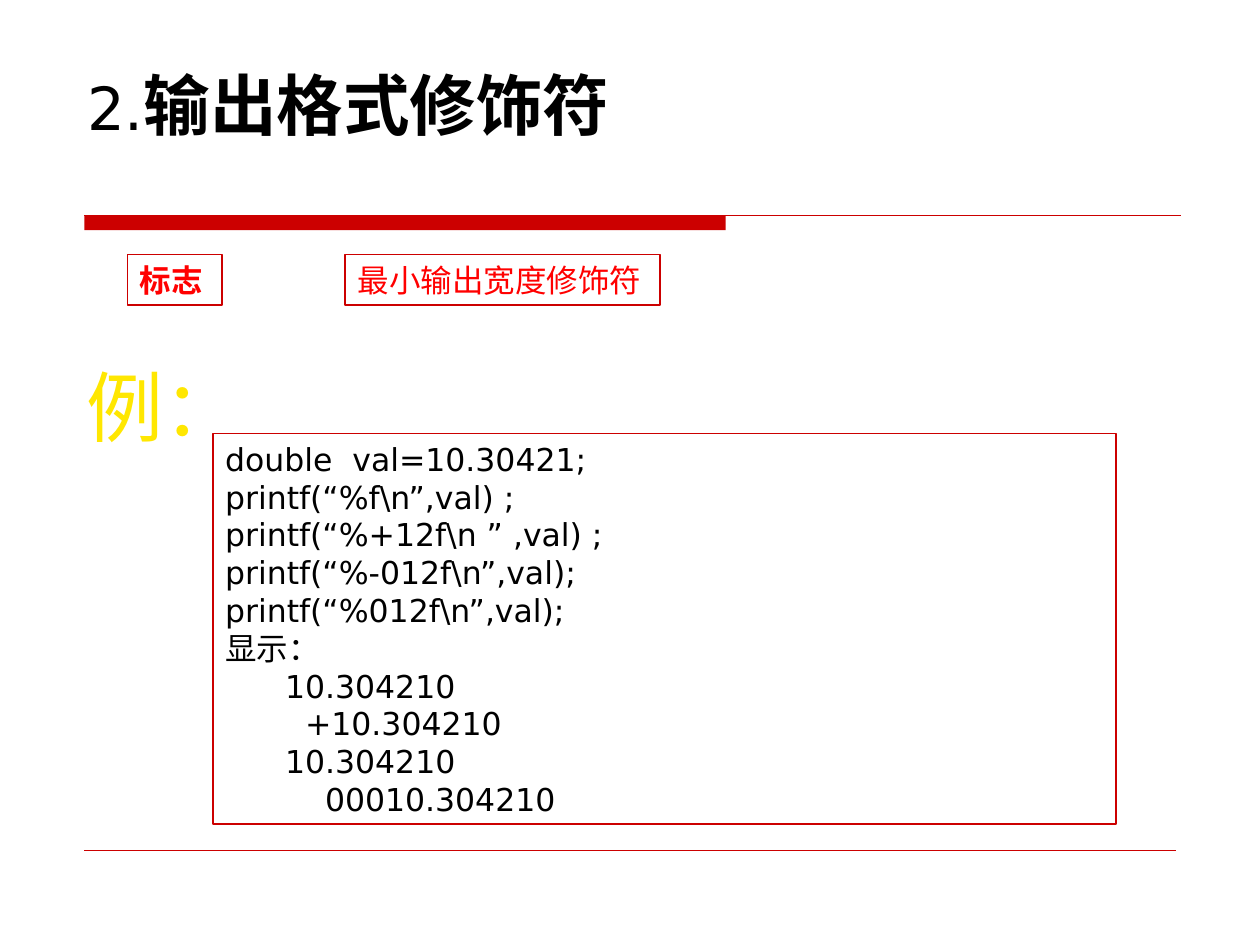
import dataclasses

import lxml.etree
import pptx
import pptx.dml.color
import pptx.enum.shapes
import pptx.enum.text
import pptx.oxml.ns
import pptx.util
from pptx.util import Cm, Pt

RGB = pptx.dml.color.RGBColor
Anchor = pptx.enum.text.MSO_ANCHOR
Align = pptx.enum.text.PP_ALIGN


@dataclasses.dataclass(frozen=True)
class Theme:
    red: RGB = RGB(0xCC, 0x00, 0x00)
    label: RGB = RGB(0xFF, 0x00, 0x00)
    yellow: RGB = RGB(0xFF, 0xE7, 0x01)
    black: RGB = RGB(0x00, 0x00, 0x00)
    font: str = "DejaVu Sans"
    chinese_font: str = "Noto Sans CJK SC"
    number_size: int = 34
    title_size: int = 38
    example_size: int = 44
    text_size: int = 18


THEME = Theme()


@dataclasses.dataclass(frozen=True)
class TextStyle:
    size: int
    color: RGB
    bold: bool = False
    font: str = THEME.font


@dataclasses.dataclass(frozen=True)
class Box:
    """A text box in centimetres, with one paragraph per line."""
    left: float
    top: float
    width: float
    height: float
    lines: tuple[str, ...]
    style: TextStyle
    anchor: Anchor = Anchor.MIDDLE
    framed: bool = True
    wrap: bool = False


CODE_LINES = (
    "double  val=10.30421;",
    "printf(“%f\\n”,val) ;",
    "printf(“%+12f\\n ” ,val) ;",
    "printf(“%-012f\\n”,val);",
    "printf(“%012f\\n”,val);",
    "显示：",
    "      10.304210",
    "        +10.304210",
    "      10.304210",
    "          00010.304210",
)

BODY = TextStyle(THEME.text_size, THEME.black)
LABEL = TextStyle(THEME.text_size, THEME.label)
BOXES = (
    Box(2.57, 5.13, 1.9, 1.02, ("标志",), dataclasses.replace(LABEL, bold=True)),
    Box(6.96, 5.13, 6.35, 1.02, ("最小输出宽度修饰符",), LABEL),
    Box(1.5, 6.93, 3.12, 2.51, ("例：",),
        TextStyle(THEME.example_size, THEME.yellow, font=THEME.chinese_font), framed=False),
    Box(4.29, 8.74, 18.21, 7.87, CODE_LINES, BODY, anchor=Anchor.TOP, wrap=True),
)


def add_run(paragraph, text: str, style: TextStyle) -> None:
    run = paragraph.add_run()
    run.text = text
    run.font.size = Pt(style.size)
    run.font.bold = style.bold
    run.font.color.rgb = style.color
    run.font.name = style.font
    east_asian = lxml.etree.SubElement(run.font._element, pptx.oxml.ns.qn("a:ea"))
    east_asian.set("typeface", style.font)


def add_box(slide, box: Box) -> None:
    shape = slide.shapes.add_textbox(Cm(box.left), Cm(box.top), Cm(box.width), Cm(box.height))
    if box.framed:
        shape.line.color.rgb = THEME.red
        shape.line.width = Pt(1)
    frame = shape.text_frame
    frame.word_wrap = box.wrap
    frame.vertical_anchor = box.anchor
    for index, line in enumerate(box.lines):
        paragraph = frame.add_paragraph() if index else frame.paragraphs[0]
        add_run(paragraph, line, box.style)


def add_rule(slide, left: float, right: float, top: float, weight: float) -> None:
    rule = slide.shapes.add_connector(
        pptx.enum.shapes.MSO_CONNECTOR.STRAIGHT, Cm(left), Cm(top), Cm(right), Cm(top))
    rule.line.color.rgb = THEME.red
    rule.line.width = Pt(weight)
    lxml.etree.SubElement(rule._element.spPr, pptx.oxml.ns.qn("a:effectLst"))


def add_title_bar(slide) -> None:
    bar = slide.shapes.add_shape(
        pptx.enum.shapes.MSO_SHAPE.RECTANGLE, Cm(1.7), Cm(4.34), Cm(12.93), Cm(0.3))
    bar.shadow.inherit = False
    bar.fill.solid()
    bar.fill.fore_color.rgb = THEME.red
    bar.line.fill.background()


def fill_title(title) -> None:
    title.left, title.top, title.width, title.height = Cm(1.5), Cm(1.32), Cm(22.23), Cm(1.7)
    frame = title.text_frame
    frame.auto_size = pptx.enum.text.MSO_AUTO_SIZE.NONE
    frame.vertical_anchor = Anchor.BOTTOM
    paragraph = frame.paragraphs[0]
    paragraph.alignment = Align.LEFT
    add_run(paragraph, "2.", TextStyle(THEME.number_size, THEME.black))
    add_run(paragraph, "输出格式修饰符", TextStyle(THEME.title_size, THEME.black, bold=True))


def main() -> None:
    presentation = pptx.Presentation()
    presentation.slide_width, presentation.slide_height = Cm(25.4), Cm(19.05)
    slide = presentation.slides.add_slide(presentation.slide_layouts.get_by_name("Title Only"))
    add_title_bar(slide)
    add_rule(slide, left=1.7, right=23.8, top=4.34, weight=0.75)
    add_rule(slide, left=1.7, right=23.7, top=17.15, weight=0.25)
    fill_title(slide.shapes.title)
    for box in BOXES:
        add_box(slide, box)
    presentation.save("out.pptx")


if __name__ == "__main__":
    main()
